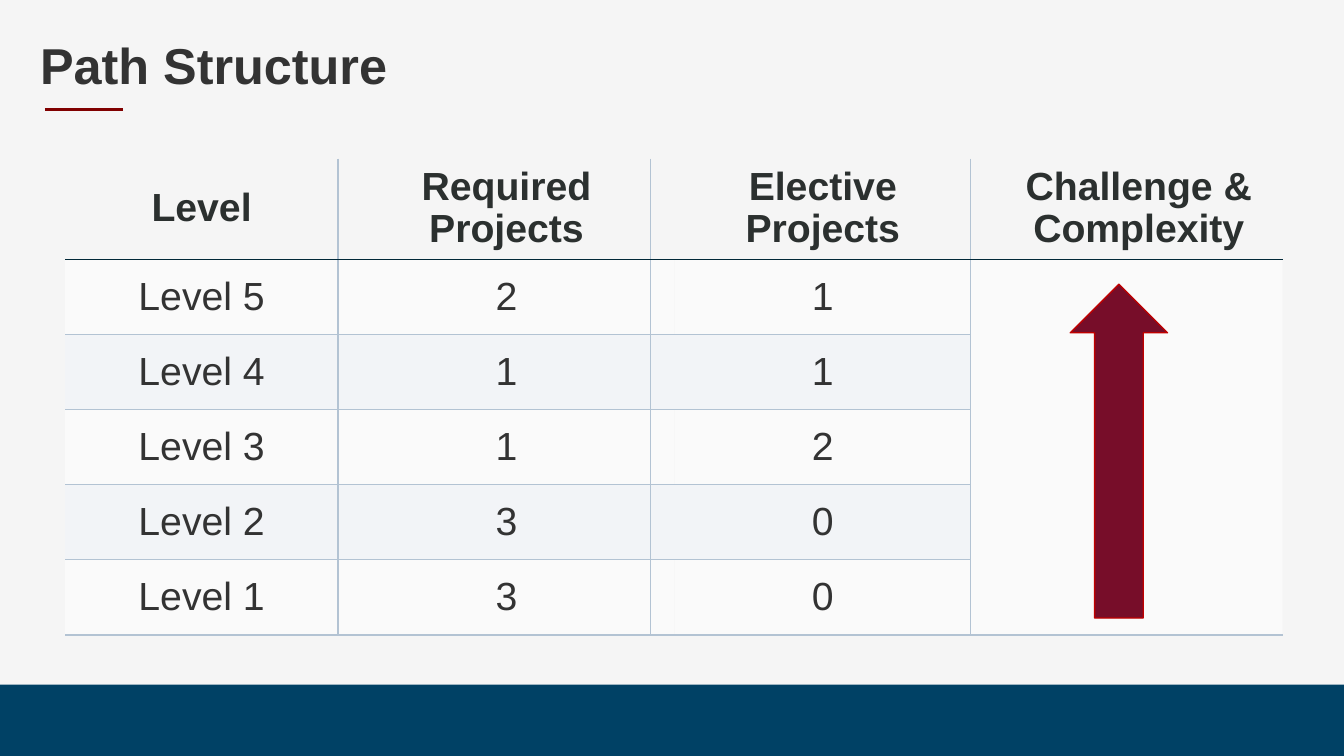
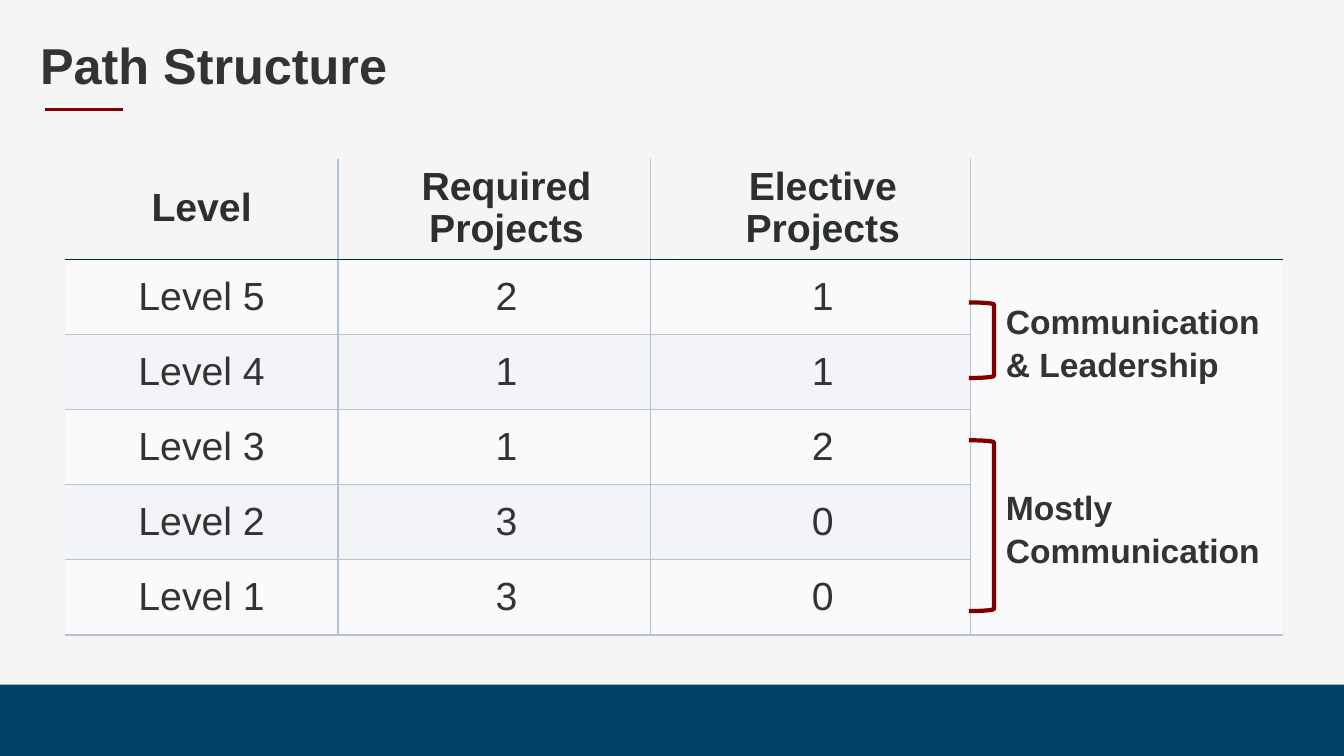
from pptx import Presentation
from pptx import util as u
from pptx.dml import color
from pptx.enum import shapes, text
from pptx.oxml import ns
from lxml import etree

Pt = u.Pt
HUES = {
    "page": "F5F5F5", "band": "004165", "rule": "800000", "ink": "333333",
    "head": "2B302F", "grid": "B3C3D3", "edge": "012838", "white": "FFFFFF",
    "stripe": "F2F4F7", "arrow": "770D29", "rim": "C00000",
}
FONTS = {
    "title": {"name": "Arial", "size": Pt(36), "bold": True},
    "head": {"name": "Arial", "size": Pt(28), "bold": True},
    "cell": {"name": "Arial", "size": Pt(28), "bold": False},
    "note": {"name": "Arial", "size": Pt(24), "bold": True},
}
COLS = [195, 16.5, 206, 16.5, 211.5, 16.5, 205.5]
ROWS = [69.3] + [53.7] * 5
HEADS = ["Level", "Required Projects", "Elective Projects"]
LEVELS = [(5, 2, 1), (4, 1, 1), (3, 1, 2), (2, 3, 0), (1, 3, 0)]
KIND = shapes.MSO_SHAPE


def hue(key):
    return color.RGBColor.from_string(HUES[key])


def paint(fill, key):
    fill.solid()
    fill.fore_color.rgb = hue(key)


def style(para, look, tint, **form):
    for key, val in FONTS[look].items():
        setattr(para.font, key, val)
    para.font.color.rgb = hue(tint)
    for key, val in form.items():
        setattr(para, key, val)


def place(slide, kind, box, fill=None, line=None, width=1, adj=()):
    shape = slide.shapes.add_shape(kind, *map(Pt, box))
    shape.shadow.inherit = False
    if fill:
        paint(shape.fill, fill)
    else:
        shape.fill.background()
    if line:
        paint(shape.line.fill, line)
        shape.line.width = Pt(width)
    else:
        shape.line.fill.background()
    for i, val in enumerate(adj):
        shape.adjustments[i] = val


def write(slide, box, lines, look, pitch, anchor):
    frame = slide.shapes.add_textbox(*map(Pt, box)).text_frame
    frame.word_wrap = True
    frame.vertical_anchor = anchor
    for i, line in enumerate(lines):
        para = frame.add_paragraph() if i else frame.paragraphs[0]
        para.text = line
        style(para, look, "ink", line_spacing=pitch)


def start(deck):
    slide = deck.slides.add_slide(deck.slide_layouts[6])
    paint(slide.background.fill, "page")
    place(slide, KIND.RECTANGLE, (0, 489, 960, 51), "band")
    rule = slide.shapes.add_connector(
        shapes.MSO_CONNECTOR.STRAIGHT, Pt(32), Pt(78), Pt(88), Pt(78))
    rule.line.width = Pt(2.25)
    paint(rule.line.fill, "rule")
    etree.SubElement(rule.element.spPr, ns.qn("a:effectLst"))
    write(slide, (21.6, 23, 917, 51), ["Path Structure"], "title", 0.9,
          text.MSO_ANCHOR.MIDDLE)
    return slide


def border(cell, sides):
    props = cell._tc.get_or_add_tcPr()
    for i, side in enumerate("LRTB"):
        line = etree.Element(ns.qn("a:ln" + side), w=str(Pt(1)))
        key = sides[side]
        if key:
            solid = etree.SubElement(line, ns.qn("a:solidFill"))
            etree.SubElement(solid, ns.qn("a:srgbClr"), val=HUES[key])
        else:
            etree.SubElement(line, ns.qn("a:noFill"))
        props.insert(i, line)


def fade(cell):
    tint = cell._tc.tcPr.find(".//" + ns.qn("a:srgbClr"))
    etree.SubElement(tint, ns.qn("a:alpha"), val="50000")


def dress(cell, row, col):
    paint(cell.fill, "page" if row == 0 else "white" if row % 2 else "stripe")
    if row % 2:
        fade(cell)
    free = not cell.is_spanned
    last = row == len(ROWS) - 1
    border(cell, {
        "L": "grid" if col % 2 else None,
        "R": "grid" if col % 2 == 0 and col < 6 else None,
        "T": "edge" if row == 1 else "grid" if row and free else None,
        "B": "edge" if row == 0 else "grid" if free or last else None,
    })


def fill_in(cell, words, look, tint):
    cell.vertical_anchor = text.MSO_ANCHOR.MIDDLE
    para = cell.text_frame.paragraphs[0]
    para.text = words
    style(para, look, tint, alignment=text.PP_ALIGN.CENTER)
    if look == "head":
        para.line_spacing = 0.96


def grid(slide, heads):
    table = slide.shapes.add_table(
        len(ROWS), len(COLS), Pt(46.5), Pt(113.3), Pt(sum(COLS)),
        Pt(sum(ROWS))).table
    table.first_row = table.horz_banding = False
    for col, width in zip(table.columns, COLS):
        col.width = Pt(width)
    for row, height in zip(table.rows, ROWS):
        row.height = Pt(height)
    table.cell(1, 5).merge(table.cell(5, 6))
    for row in range(len(ROWS)):
        for col in range(len(COLS)):
            dress(table.cell(row, col), row, col)
    for i, head in enumerate(heads):
        fill_in(table.cell(0, 2 * i), head, "head", "head")
    for row, (level, *counts) in enumerate(LEVELS, 1):
        for i, words in enumerate([f"Level {level}", *map(str, counts)]):
            fill_in(table.cell(row, 2 * i), words, "cell", "ink")


def group(slide, top, height, head, lines):
    place(slide, KIND.RIGHT_BRACKET, (692, top, 18, height),
          line="rule", width=3, adj=[0.083])
    write(slide, (711.4, head, 197, 65.5), lines, "note", 1.05,
          text.MSO_ANCHOR.TOP)


def main():
    deck = Presentation()
    deck.slide_width, deck.slide_height = Pt(960), Pt(540)

    slide = start(deck)
    grid(slide, HEADS + ["Challenge & Complexity"])
    place(slide, KIND.UP_ARROW, (764.5, 203, 69.5, 238.5), "arrow", "rim",
          adj=[0.5, 0.5])

    slide = start(deck)
    grid(slide, HEADS)
    group(slide, 216, 54, 210.2, ["Communication", "& Leadership"])
    group(slide, 314.5, 122, 343, ["Mostly", "Communication"])

    deck.save("out.pptx")


if __name__ == "__main__":
    main()
